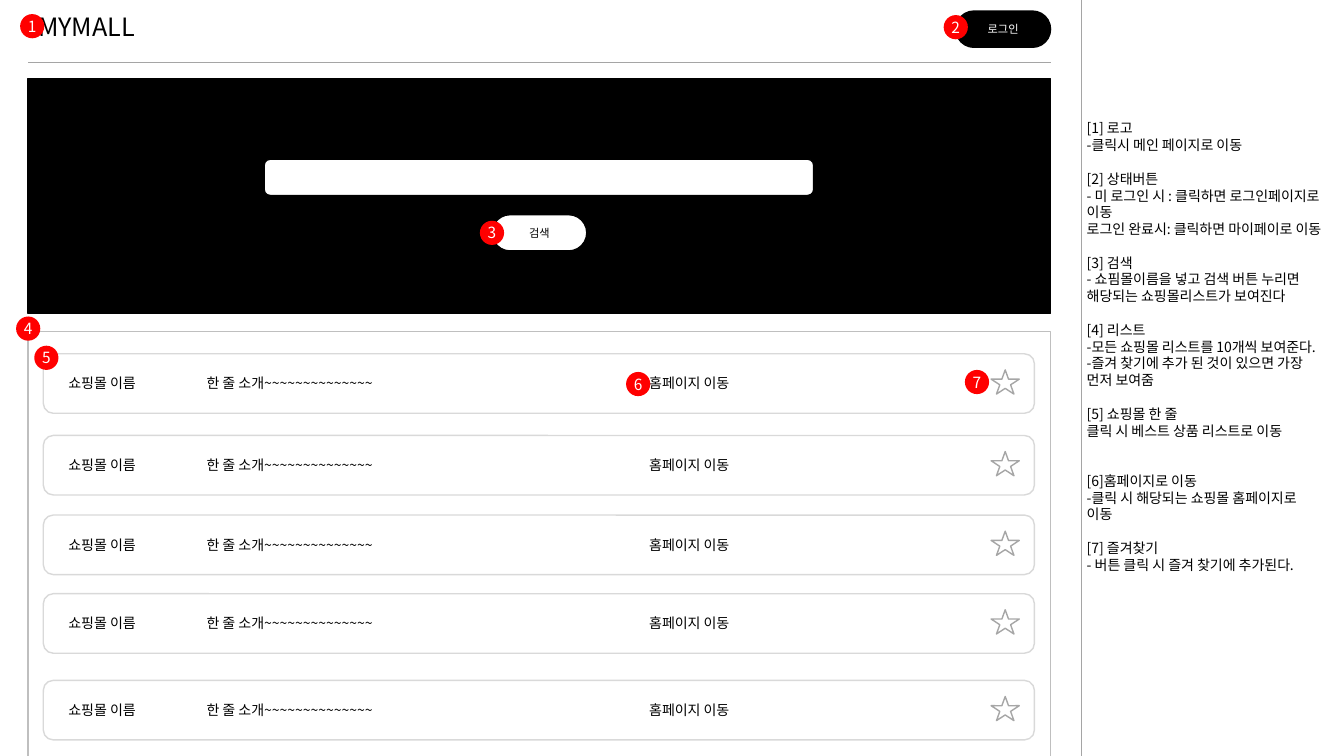
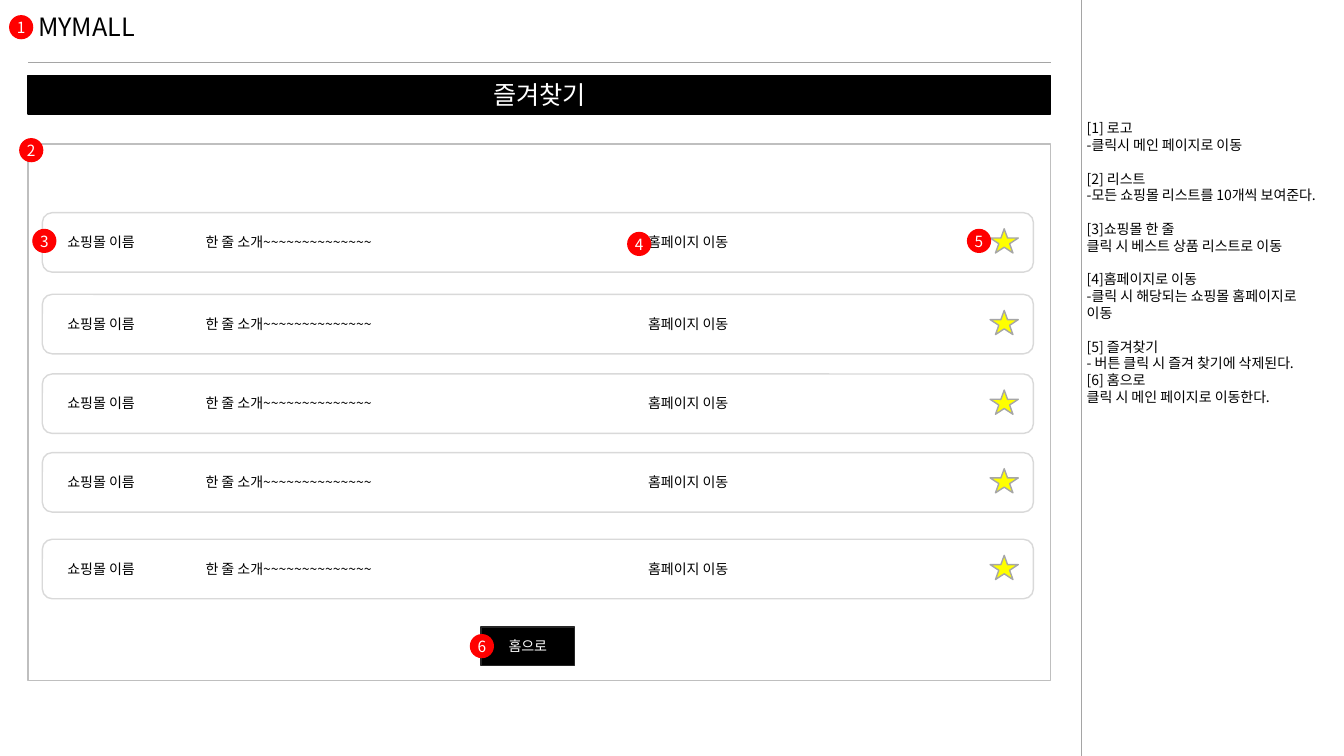
from lxml import etree
from pptx import Presentation
from pptx.dml.color import RGBColor
from pptx.enum.shapes import MSO_CONNECTOR, MSO_SHAPE
from pptx.enum.text import MSO_ANCHOR, MSO_AUTO_SIZE, PP_ALIGN
from pptx.oxml.ns import qn
from pptx.util import Inches, Pt

RECT, PILL = MSO_SHAPE.RECTANGLE, MSO_SHAPE.ROUNDED_RECTANGLE
OVAL, STAR = MSO_SHAPE.OVAL, MSO_SHAPE.STAR_5_POINT
STRAIGHT = MSO_CONNECTOR.STRAIGHT
TOP, MIDDLE = MSO_ANCHOR.TOP, MSO_ANCHOR.MIDDLE
LEFT, CENTER = PP_ALIGN.LEFT, PP_ALIGN.CENTER
FIT_TEXT = MSO_AUTO_SIZE.SHAPE_TO_FIT_TEXT

BLACK = RGBColor(0x00, 0x00, 0x00)
WHITE = RGBColor(0xFF, 0xFF, 0xFF)
RED = RGBColor(0xFF, 0x00, 0x00)
YELLOW = RGBColor(0xFF, 0xFF, 0x00)
CHARCOAL = RGBColor(0x26, 0x26, 0x26)
RULE_GRAY = RGBColor(0xA5, 0xA5, 0xA5)
STAR_GRAY = RGBColor(0xA6, 0xA6, 0xA6)
PANEL_GRAY = RGBColor(0xBF, 0xBF, 0xBF)
ROW_GRAY = RGBColor(0xD9, 0xD9, 0xD9)

FONT = "Noto Sans CJK KR"
LINE_RATIO = 1.2
PAGE_WIDTH, PAGE_HEIGHT = 13.33, 7.5
CONTENT_LEFT, CONTENT_WIDTH = 0.28, 10.14
BADGE_SIZE = 0.24
ROW_WIDTH, ROW_HEIGHT = 9.83, 0.59
ROW_OFFSETS = (0, 0.81, 1.6, 2.38, 3.24)
ROW_TEXTS = (
    ("쇼핑몰 이름", 0.15, 1.11),
    ("한 줄 소개~~~~~~~~~~~~~~", 1.52, 3.88),
    ("홈페이지 이동", 5.91, 1.11),
)

# Each note group is (blank lines above, lines).
LOGO_NOTE = (0, ("[1] 로고", "-클릭시 메인 페이지로 이동"))
LIST_NOTE = "-모든 쇼핑몰 리스트를 10개씩 보여준다."
ROW_NOTE = "클릭 시 베스트 상품 리스트로 이동"
SITE_NOTE = "-클릭 시 해당되는 쇼핑몰 홈페이지로 이동"
MAIN_NOTES = (
    LOGO_NOTE,
    (1, ("[2] 상태버튼", "- 미 로그인 시 : 클릭하면 로그인페이지로 이동",
         "로그인 완료시: 클릭하면 마이페이로 이동")),
    (1, ("[3] 검색",
         "- 쇼핌몰이름을 넣고 검색 버튼 누리면 해당되는 쇼핑몰리스트가 보여진다")),
    (1, ("[4] 리스트", LIST_NOTE,
         "-즐겨 찾기에 추가 된 것이 있으면 가장 먼저 보여줌")),
    (1, ("[5] 쇼핑몰 한 줄", ROW_NOTE)),
    (2, ("[6]홈페이지로 이동", SITE_NOTE)),
    (1, ("[7] 즐겨찾기", "- 버튼 클릭 시 즐겨 찾기에 추가된다.")),
)
FAVORITE_NOTES = (
    LOGO_NOTE,
    (1, ("[2] 리스트", LIST_NOTE)),
    (1, ("[3]쇼핑몰 한 줄", ROW_NOTE)),
    (1, ("[4]홈페이지로 이동", SITE_NOTE)),
    (1, ("[5] 즐겨찾기", "- 버튼 클릭 시 즐겨 찾기에 삭제된다.")),
    (0, ("[6] 홈으로", "클릭 시 메인 페이지로 이동한다.")),
)
MAIN_BADGES = ((0.2, 0.14), (9.36, 0.15), (4.76, 2.19), (0.16, 3.14),
               (0.34, 3.43), (6.21, 3.69), (9.57, 3.67))
FAVORITE_BADGES = ((0.09, 0.15), (0.19, 1.37), (0.32, 2.27), (6.22, 2.3),
                   (9.59, 2.27), (4.66, 6.29))


def inches(*lengths):
    """Convert several lengths to inches."""
    return [Inches(length) for length in lengths]


def write_para(para, text, size=10, color=BLACK, align=LEFT, gap_lines=0):
    """Write one formatted paragraph, with a gap above it counted in lines."""
    pitch = Pt(size * LINE_RATIO)
    para.alignment = align
    para.line_spacing = pitch
    para.space_before = pitch * gap_lines
    span = para.add_run()
    span.text = text
    span.font.size = Pt(size)
    span.font.color.rgb = color
    span.font.name = FONT
    east_asian = etree.SubElement(span.font._element, qn("a:ea"))
    east_asian.set("typeface", FONT)


def add_text(page, text, box, **style):
    """Add a text box holding one paragraph and return its frame."""
    frame = page.shapes.add_textbox(*inches(*box)).text_frame
    frame.word_wrap = True
    frame.auto_size = FIT_TEXT
    frame.vertical_anchor = TOP
    write_para(frame.paragraphs[0], text, **style)
    return frame


def add_box(page, kind, box, fill=None, line=None, text=None, **style):
    """Add a preset shape, optionally with centred text."""
    shape = page.shapes.add_shape(kind, *inches(*box))
    shape.shadow.inherit = False
    if fill is None:
        shape.fill.background()
    else:
        shape.fill.solid()
        shape.fill.fore_color.rgb = fill
    if line is None:
        shape.line.fill.background()
    else:
        shape.line.color.rgb = line
        shape.line.width = Pt(1)
    if text:
        shape.text_frame.vertical_anchor = MIDDLE
        write_para(shape.text_frame.paragraphs[0], text, align=CENTER, **style)
    return shape


def add_rule(page, *ends):
    """Add a thin grey line between two points."""
    rule = page.shapes.add_connector(STRAIGHT, *inches(*ends))
    rule.line.color.rgb = RULE_GRAY
    rule.line.width = Pt(0.5)
    etree.SubElement(rule._element.spPr, qn("a:effectLst"))


def add_pill(page, text, left, top, fill, color):
    """Add a fully rounded button."""
    pill = add_box(page, PILL, (left, top, 0.94, 0.36), fill, BLACK,
                   text, size=8, color=color)
    pill.adjustments[0] = 0.5


def add_badges(page, places):
    """Number the given places with red discs, counting from one."""
    for number, (left, top) in enumerate(places, 1):
        badge = add_box(page, OVAL, (left, top, BADGE_SIZE, BADGE_SIZE), RED,
                        text=str(number), size=11, color=WHITE)
        frame = badge.text_frame
        frame.word_wrap = False
        frame.margin_left = frame.margin_right = 0
        frame.margin_top = frame.margin_bottom = 0


def add_notes_column(page, groups, box):
    """Write the numbered explanations in one text box."""
    frame = None
    for blank_lines, lines in groups:
        for index, text in enumerate(lines):
            if frame is None:
                frame = add_text(page, text, box)
            else:
                gap = blank_lines if index == 0 else 0
                write_para(frame.add_paragraph(), text, gap_lines=gap)


def add_mall_row(page, left, top, star_fill):
    """Draw one shop row: name, introduction, site link and star."""
    add_box(page, PILL, (left, top, ROW_WIDTH, ROW_HEIGHT), line=ROW_GRAY)
    for text, offset, width in ROW_TEXTS:
        add_text(page, text, (left + offset, top + 0.16, width, 0.27))
    add_box(page, STAR, (left + 9.4, top + 0.16, 0.28, 0.24),
            star_fill, STAR_GRAY)


def add_mall_list(page, top, height, row_left, first_row, star_fill=None):
    """Draw the framed list of shops."""
    add_box(page, RECT, (CONTENT_LEFT, top, CONTENT_WIDTH, height),
            line=PANEL_GRAY)
    for offset in ROW_OFFSETS:
        add_mall_row(page, row_left, first_row + offset, star_fill)


def add_search_band(page, left, top, width, height):
    """Draw the black band with the search field and button."""
    add_box(page, RECT, (left, top, width, height), BLACK, BLACK)
    add_box(page, PILL, (left + 2.34, top + 0.8, 5.45, 0.36), WHITE, BLACK)
    add_pill(page, "검색", left + 4.6, top + 1.35, WHITE, BLACK)


def start_page(deck, notes, notes_height):
    """Add a page with the parts that every screen shares."""
    page = deck.slides.add_slide(deck.slide_layouts[6])
    add_rule(page, 10.73, 0, 10.73, PAGE_HEIGHT)
    add_rule(page, CONTENT_LEFT, 0.62, CONTENT_LEFT + CONTENT_WIDTH, 0.62)
    add_text(page, "MYMALL", (CONTENT_LEFT, 0.06, 1.93, 0.4), size=18)
    add_notes_column(page, notes, (10.68, 1.14, 2.56, notes_height))
    return page


def build_main_page(deck):
    """Build the main screen with search and shop list."""
    page = start_page(deck, MAIN_NOTES, 5.32)
    add_pill(page, "로그인", 9.48, 0.11, BLACK, WHITE)
    add_search_band(page, CONTENT_LEFT, 0.78, CONTENT_WIDTH, 2.33)
    add_mall_list(page, 3.29, 4.25, row_left=0.43, first_row=3.51)
    add_badges(page, MAIN_BADGES)


def build_favorite_page(deck):
    """Build the favourites screen."""
    page = start_page(deck, FAVORITE_NOTES, 3.13)
    add_box(page, RECT, (CONTENT_LEFT, 0.75, CONTENT_WIDTH, 0.38), BLACK,
            BLACK, "즐겨찾기", size=18, color=WHITE)
    add_mall_list(page, 1.43, 5.32, row_left=0.42, first_row=2.11,
                  star_fill=YELLOW)
    add_box(page, RECT, (4.77, 6.22, 0.93, 0.38), BLACK, CHARCOAL,
            "홈으로", color=WHITE)
    add_badges(page, FAVORITE_BADGES)


def main():
    """Build and save the deck."""
    deck = Presentation()
    deck.slide_width, deck.slide_height = inches(PAGE_WIDTH, PAGE_HEIGHT)
    build_main_page(deck)
    build_favorite_page(deck)
    deck.save("out.pptx")


main()
